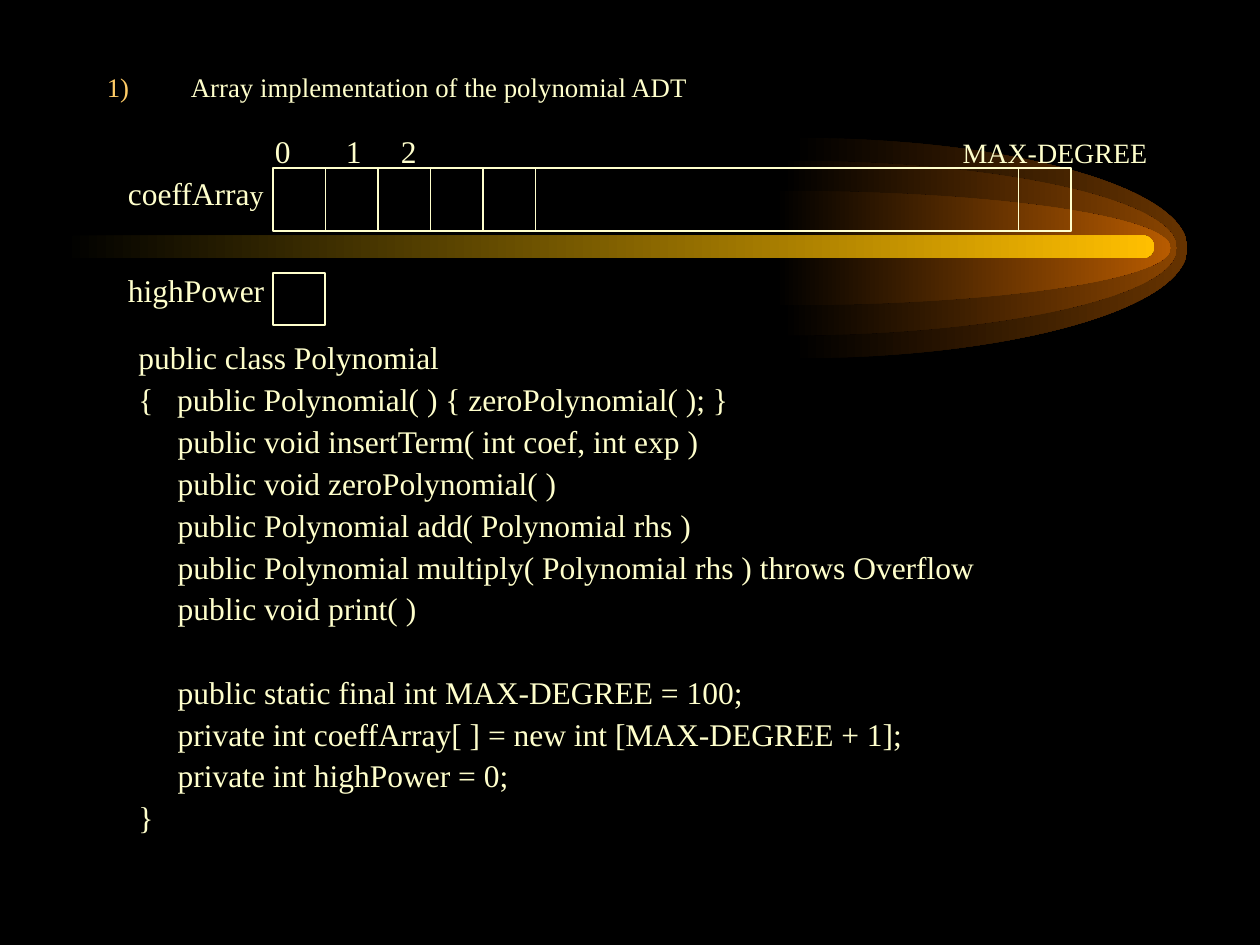
from lxml import etree
from pptx import Presentation
from pptx.dml.color import RGBColor
from pptx.enum.shapes import MSO_CONNECTOR, MSO_SHAPE
from pptx.oxml.ns import qn
from pptx.util import Pt

STRAIGHT = MSO_CONNECTOR.STRAIGHT
RECTANGLE = MSO_SHAPE.RECTANGLE
ROUNDED = MSO_SHAPE.ROUNDED_RECTANGLE
CREAM = "FFFFCC"
TEXT_FORMAT = {"name": "Times New Roman", "size": Pt(18)}


def color(value):
    return RGBColor.from_string(value)


def add_text(left, top, width, height, lines):
    box = slide.shapes.add_textbox(Pt(left), Pt(top), Pt(width), Pt(height))
    frame = box.text_frame
    frame.word_wrap = True
    for index, runs in enumerate(lines):
        paragraph = frame.paragraphs[0] if index == 0 else frame.add_paragraph()
        for text, size in runs:
            run = paragraph.add_run()
            run.text = text
            for key, value in {**TEXT_FORMAT, "size": Pt(size)}.items():
                setattr(run.font, key, value)
            run.font.color.rgb = color(CREAM)
    return frame.paragraphs


presentation = Presentation()
presentation.slide_width = Pt(720)
presentation.slide_height = Pt(540)
slide = presentation.slides.add_slide(presentation.slide_layouts[6])
slide.background.fill.solid()
slide.background.fill.fore_color.rgb = color("000000")

comet_middle = 141.75
comet_width = 225.5
handle = 0.55
half_ellipse = [(0, -1), (handle, -1), (1, -handle), (1, 0), (1, handle), (handle, 1), (0, 1), (0, 0)]
comet_parts = []
for left, half_height, glow in [(453, 63, "663300"), (447, 50, "894400"), (443.5, 32.75, "B75B00")]:
    points = [
        (Pt(left + comet_width * x), Pt(comet_middle + half_height * y)) for x, y in half_ellipse
    ]
    builder = slide.shapes.build_freeform(*points[0], scale=1.0)
    builder.add_line_segments(points[1:], close=True)
    shape = builder.convert_to_shape()
    segments = list(shape._element.iter(qn("a:lnTo")))
    for start in (0, 3):
        curve = etree.Element(qn("a:cubicBezTo"))
        segments[start].addprevious(curve)
        for segment in segments[start:start + 3]:
            curve.append(segment[0])
            segment.getparent().remove(segment)
    comet_parts.append((shape, glow))

bar = slide.shapes.add_shape(ROUNDED, Pt(36), Pt(134.5), Pt(623.5), Pt(13))
bar.adjustments[0] = 0.5
comet_parts.append((bar, "FFBF00"))
for shape, glow in comet_parts:
    shape.shadow.inherit = False
    shape.line.fill.background()
    shape.fill.gradient()
    shape.fill.gradient_angle = 0
    for stop, position, value in zip(shape.fill.gradient_stops, (0, 1), ("000000", glow)):
        stop.position = position
        stop.color.rgb = color(value)

title = add_text(54, 42, 612, 180, [[("Array implementation of the polynomial ADT", 15.3)]])[0]
title.line_spacing = 0.7
properties = title._p.get_or_add_pPr()
properties.set("marL", str(Pt(48)))
properties.set("indent", str(Pt(-48)))
bullet_color = etree.SubElement(properties, qn("a:buClr"))
etree.SubElement(bullet_color, qn("a:srgbClr"), val="FFCC66")
etree.SubElement(properties, qn("a:buAutoNum"), type="arabicParenR")

cell = 30
array_left, array_top, array_width, array_height = 156, 96, 456, 36
for top, width, height in [(array_top, array_width, array_height), (156, cell, cell)]:
    shape = slide.shapes.add_shape(RECTANGLE, Pt(array_left), Pt(top), Pt(width), Pt(height))
    shape.shadow.inherit = False
    shape.fill.background()
    shape.line.color.rgb = color(CREAM)
    shape.line.width = Pt(1)

dividers = [array_left + cell * number for number in range(1, 6)]
dividers.append(array_left + array_width - cell)
for x in dividers:
    divider = slide.shapes.add_connector(
        STRAIGHT, Pt(x), Pt(array_top), Pt(x), Pt(array_top + array_height)
    )
    divider.line.color.rgb = color(CREAM)
    divider.line.width = Pt(1)
    etree.SubElement(divider._element.spPr, qn("a:effectLst"))

index_runs = [("0\t1\t2", 18), ("\t", 24), ("MAX-DEGREE", 16)]
indices = add_text(150, 66, 528, 65, [index_runs])[0]
tabs = etree.SubElement(indices._p.get_or_add_pPr(), qn("a:tabLst"))
for position in (40.5, 72, 393):
    etree.SubElement(tabs, qn("a:tab"), pos=str(Pt(position)), algn="l")

add_text(66, 96, 96, 29, [[("coeffArra", 18), ("y", 16)]])
add_text(66, 151.5, 96, 29, [[("highPower", 18)]])

code = [
    "public class Polynomial",
    "{   public Polynomial( ) { zeroPolynomial( ); }",
    "     public void insertTerm( int coef, int exp )",
    "     public void zeroPolynomial( )",
    "     public Polynomial add( Polynomial rhs )",
    "     public Polynomial multiply( Polynomial rhs ) throws Overflow",
    "     public void print( )",
    "     public static final int MAX-DEGREE = 100;",
    "     private int coeffArray[ ] = new int [MAX-DEGREE + 1];",
    "     private int highPower = 0;",
    "}",
]
for index, paragraph in enumerate(add_text(72, 192, 624, 323, [[(line, 18)] for line in code])):
    paragraph.line_spacing = 0.9
    if index:
        paragraph.space_before = Pt(28.1 if "static" in code[index] else 4.5)

presentation.save("out.pptx")
